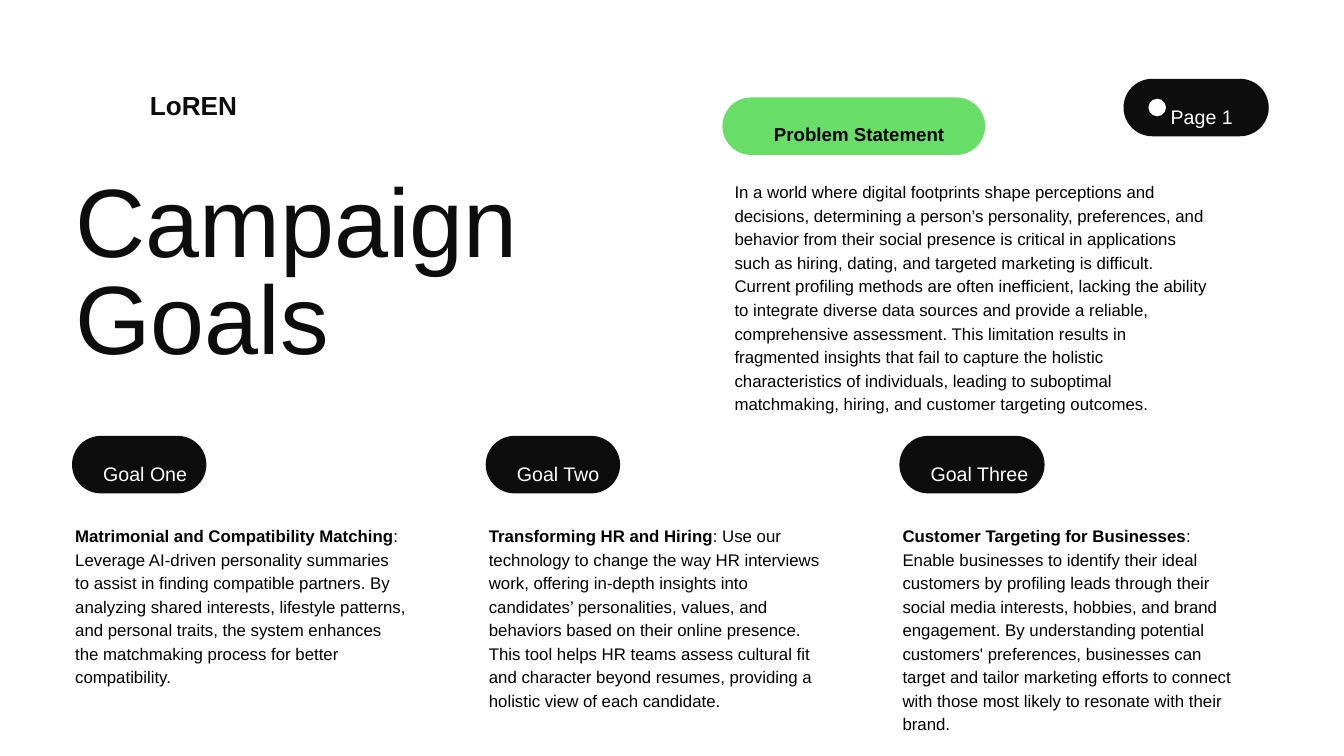
from dataclasses import dataclass

from lxml.etree import SubElement
from pptx import Presentation
from pptx.dml.color import RGBColor
from pptx.enum.shapes import MSO_SHAPE as Preset
from pptx.enum.text import MSO_ANCHOR as Anchor, MSO_AUTO_SIZE as AutoSize, PP_ALIGN as Align
from pptx.oxml.ns import qn
from pptx.util import Pt

FONT = "Arial"
INK, BLACK, WHITE, GREEN = "0D0D0D", "000000", "FFFFFF", "68DE68"
LEFT, COLUMN_STEP = 77.2, 443.2
PILL_TOP, PILL_HEIGHT = 467, 61.6
GOAL_TOP, TEXT_SHIFT = 560, 3.4


@dataclass(frozen=True)
class Style:
    size: float
    color: str
    leading: float | None = None
    bold: bool = False
    align: Align = Align.LEFT


@dataclass(frozen=True)
class Area:
    left: float
    top: float
    width: float
    height: float


@dataclass(frozen=True)
class Goal:
    label: str
    pill_width: float
    heading: str
    text: str
    text_height: float


LABEL = Style(21, WHITE, 29.4)
COPY = Style(18, BLACK, 25.2)

GOALS = [
    Goal("Goal One", 144, "Matrimonial and Compatibility Matching",
         ": Leverage AI-driven personality summaries to assist in finding compatible "
         "partners. By analyzing shared interests, lifestyle patterns, and personal "
         "traits, the system enhances the matchmaking process for better compatibility.", 150),
    Goal("Goal Two", 144, "Transforming HR and Hiring",
         ": Use our technology to change the way HR interviews work, offering in-depth "
         "insights into candidates’ personalities, values, and behaviors based on their "
         "online presence. This tool helps HR teams assess cultural fit and character "
         "beyond resumes, providing a holistic view of each candidate.", 200),
    Goal("Goal Three", 155.6, "Customer Targeting for Businesses",
         ": Enable businesses to identify their ideal customers by profiling leads through "
         "their social media interests, hobbies, and brand engagement. By understanding "
         "potential customers' preferences, businesses can target and tailor marketing "
         "efforts to connect with those most likely to resonate with their brand.", 200),
]

PROBLEM = (
    "In a world where digital footprints shape perceptions and decisions, determining a "
    "person’s personality, preferences, and behavior from their social presence is critical "
    "in applications such as hiring, dating, and targeted marketing is difficult. Current "
    "profiling methods are often inefficient, lacking the ability to integrate diverse data "
    "sources and provide a reliable, comprehensive assessment. This limitation results in "
    "fragmented insights that fail to capture the holistic characteristics of individuals, "
    "leading to suboptimal matchmaking, hiring, and customer targeting outcomes."
)


def rgb(color: str) -> RGBColor:
    return RGBColor.from_string(color)


def place(shape, area: Area) -> None:
    shape.left, shape.top = Pt(area.left), Pt(area.top)
    shape.width, shape.height = Pt(area.width), Pt(area.height)


def write(shape, text: str, style: Style, lead: str = "",
          left: float = 0, top: float = 0, right: float = 0) -> None:
    """Fill a shape with one paragraph, opened by an optional bold lead."""
    frame = shape.text_frame
    frame.word_wrap = True
    frame.auto_size = AutoSize.NONE
    frame.vertical_anchor = Anchor.TOP
    frame.margin_left, frame.margin_top = Pt(left), Pt(top)
    frame.margin_right, frame.margin_bottom = Pt(right), 0
    para = frame.paragraphs[0]
    para.alignment = style.align
    para.space_before = Pt(0)
    if style.leading:
        para.line_spacing = Pt(style.leading)
    para.font.name, para.font.size = FONT, Pt(style.size)
    para.font.bold = style.bold
    para.font.color.rgb = rgb(style.color)
    if lead:
        span = para.add_run()
        span.text = lead
        span.font.bold = True
    para.add_run().text = text


def remove_bullet(shape) -> None:
    properties = shape.text_frame.paragraphs[0]._p.get_or_add_pPr()
    properties.set("marL", "0")
    properties.set("indent", "0")
    bullet = SubElement(properties, qn("a:buNone"))
    defaults = properties.find(qn("a:defRPr"))
    if defaults is not None:
        defaults.addprevious(bullet)


def add_text(page, area: Area, text: str, style: Style, lead: str = "") -> None:
    box = page.shapes.add_textbox(0, 0, 0, 0)
    place(box, area)
    write(box, text, style, lead)


def add_solid(page, preset: Preset, area: Area, color: str):
    shape = page.shapes.add_shape(preset, 0, 0, 0, 0)
    place(shape, area)
    shape.shadow.inherit = False
    shape.fill.solid()
    shape.fill.fore_color.rgb = rgb(color)
    shape.line.fill.background()
    return shape


def add_pill(page, area: Area, color: str, text: str, style: Style,
             left: float = 0, top: float = 0, right: float = 0) -> None:
    pill = add_solid(page, Preset.ROUNDED_RECTANGLE, area, color)
    pill.adjustments[0] = 0.5
    write(pill, text, style, left=left, top=top, right=right)


def add_goal(page, column: int, goal: Goal) -> None:
    left = LEFT + column * COLUMN_STEP
    add_pill(page, Area(left, PILL_TOP, goal.pill_width, PILL_HEIGHT), INK,
             goal.label, LABEL, left=24.4, top=14.7)
    add_text(page, Area(left + TEXT_SHIFT, GOAL_TOP, 355, goal.text_height),
             goal.text, COPY, goal.heading)


def main() -> None:
    deck = Presentation()
    deck.slide_width, deck.slide_height = Pt(1440), Pt(810)
    page = deck.slides.add_slide(deck.slide_layouts[1])

    title, body = page.shapes.title, page.placeholders[1]
    place(title, Area(LEFT + TEXT_SHIFT, 192.2, 509, 213))
    write(title, "Campaign Goals", Style(104, INK, 104))
    place(body, Area(787, 191.5, 509, 225.4))
    write(body, PROBLEM, COPY)
    remove_bullet(body)

    add_text(page, Area(160.6, 90.7, 275, 36), "LoREN", Style(28, INK, 39.2, bold=True))
    add_pill(page, Area(774, 104.4, 281.5, PILL_HEIGHT), GREEN, "Problem Statement",
             Style(20, BLACK, bold=True, align=Align.CENTER), left=11.5, top=18)
    add_pill(page, Area(1203.8, 84.4, 155.6, PILL_HEIGHT), INK, "Page 1",
             Style(21, WHITE, 29.4, align=Align.RIGHT), top=15, right=29.5)
    add_solid(page, Preset.OVAL, Area(1230.5, 105.8, 18.8, 18.8), WHITE)

    for column, goal in enumerate(GOALS):
        add_goal(page, column, goal)

    deck.save("out.pptx")


if __name__ == "__main__":
    main()
